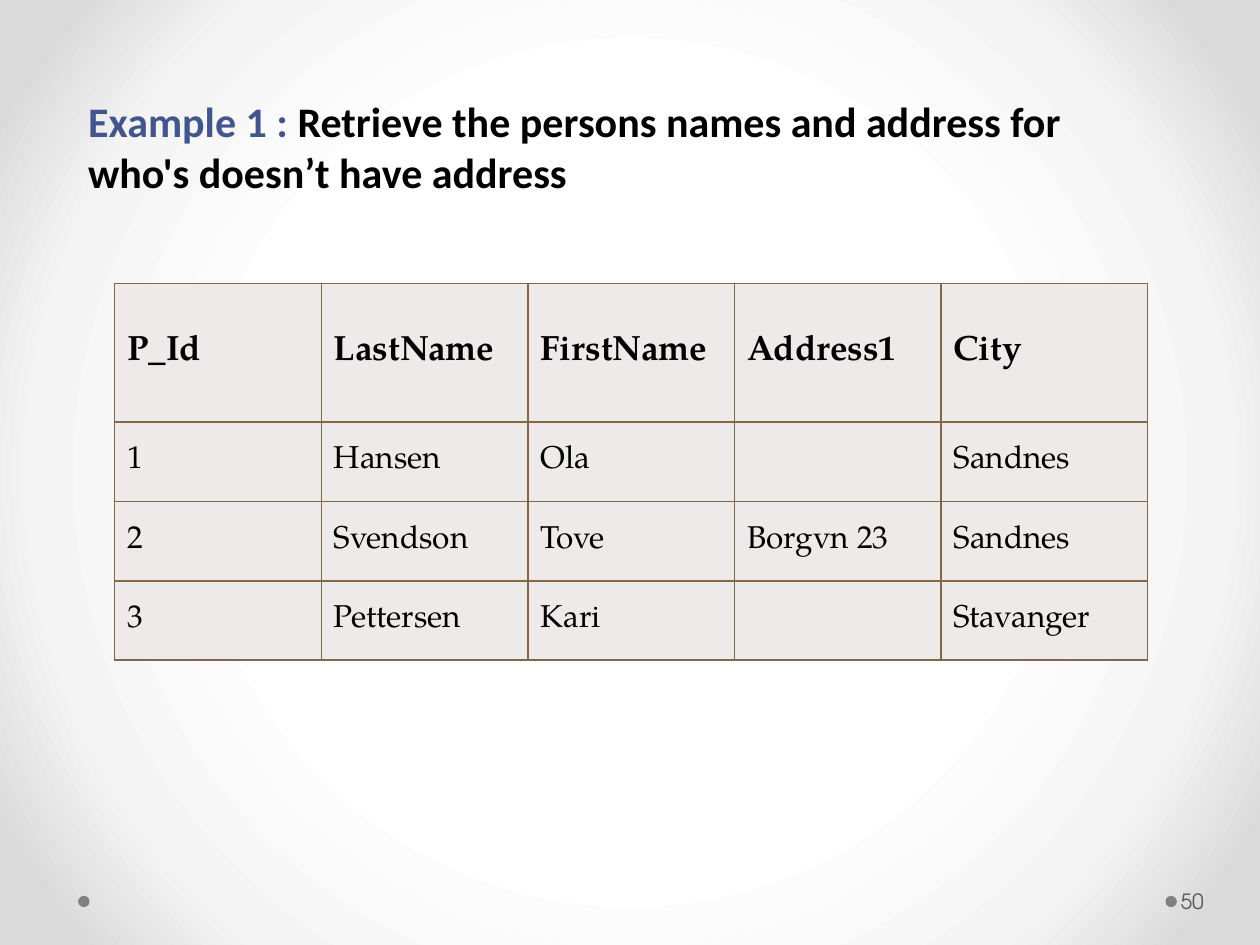
from pptx import Presentation
from pptx.dml.color import RGBColor
from pptx.enum.shapes import MSO_SHAPE
from pptx.enum.text import MSO_ANCHOR, MSO_AUTO_SIZE, PP_ALIGN
from pptx.oxml import parse_xml
from pptx.oxml.ns import nsdecls, qn
from pptx.util import Inches, Pt

BLACK = RGBColor(0x00, 0x00, 0x00)
BLUE = RGBColor(0x42, 0x56, 0x8D)
BROWN = RGBColor(0x84, 0x66, 0x48)
CELL_GREY = RGBColor(0xED, 0xEA, 0xE9)
DOT_GREY = RGBColor(0x80, 0x80, 0x80)
NUMBER_GREY = RGBColor(0x59, 0x59, 0x59)
BACKGROUND_STOPS = [(50, "FFFFFF"), (76, "F4F4F4"), (92, "DADADA")]

PERSONS = [
    ["P_Id", "LastName", "FirstName", "Address1", "City"],
    ["1", "Hansen", "Ola", "", "Sandnes"],
    ["2", "Svendson", "Tove", "Borgvn 23", "Sandnes"],
    ["3", "Pettersen", "Kari", "", "Stavanger"],
]


class SlideBuilder:
    title_font = "Calibri"
    table_font = "TeX Gyre Pagella"
    number_font = "TeX Gyre Adventor"

    def __init__(self, prs):
        self.s = prs.slides.add_slide(prs.slide_layouts[5])

    def set_font(self, font, name, size, color, bold=False):
        font.name, font.size, font.bold = name, Pt(size), bold
        font.color.rgb = color

    def background(self, stops):
        """Fill the background with a gradient spreading from the centre."""
        self.s.background.fill.gradient()
        grad = self.s.element.find(".//" + qn("a:gradFill"))
        gs = "".join(
            f'<a:gs pos="{pos * 1000}"><a:srgbClr val="{color}"/></a:gs>'
            for pos, color in stops
        )
        radial = parse_xml(
            f'<a:gradFill {nsdecls("a")} rotWithShape="1"><a:gsLst>{gs}</a:gsLst>'
            '<a:path path="circle"><a:fillToRect l="50000" t="50000" '
            'r="50000" b="50000"/></a:path></a:gradFill>'
        )
        grad.getparent().replace(grad, radial)

    def dot(self, x, y, size=0.09):
        sp = self.s.shapes.add_shape(
            MSO_SHAPE.OVAL, Inches(x), Inches(y), Inches(size), Inches(size)
        )
        sp.shadow.inherit = False
        sp.fill.solid()
        sp.fill.fore_color.rgb = DOT_GREY
        sp.line.fill.background()

    def title(self, x, y, w, h, parts):
        sp = self.s.shapes.title
        sp.left, sp.top, sp.width, sp.height = map(Inches, (x, y, w, h))
        tf = sp.text_frame
        tf.word_wrap = True
        tf.auto_size = MSO_AUTO_SIZE.NONE
        tf.vertical_anchor = MSO_ANCHOR.TOP
        p = tf.paragraphs[0]
        p.alignment = PP_ALIGN.LEFT
        for text, color in parts:
            r = p.add_run()
            r.text = text
            self.set_font(r.font, self.title_font, 24, color, bold=True)

    def borders(self, cell):
        tc_pr = cell._tc.get_or_add_tcPr()
        for side in "LRTB":
            tc_pr.append(parse_xml(
                f'<a:ln{side} {nsdecls("a")} w="{Pt(1)}"><a:solidFill>'
                f'<a:srgbClr val="{BROWN}"/></a:solidFill></a:ln{side}>'
            ))

    def table(self, x, y, col_width, header_height, row_height, rows):
        n_rows, n_cols = len(rows), len(rows[0])
        table = self.s.shapes.add_table(
            n_rows, n_cols, Inches(x), Inches(y), Inches(col_width * n_cols),
            Inches(header_height + row_height * (n_rows - 1)),
        ).table
        for col in table.columns:
            col.width = Inches(col_width)
        for i, values in enumerate(rows):
            header = i == 0
            table.rows[i].height = Inches(header_height if header else row_height)
            for j, value in enumerate(values):
                cell = table.cell(i, j)
                self.borders(cell)
                cell.fill.solid()
                cell.fill.fore_color.rgb = CELL_GREY
                cell.vertical_anchor = MSO_ANCHOR.MIDDLE
                cell.text = value
                self.set_font(cell.text_frame.paragraphs[0].font, self.table_font,
                              20 if header else 18, BLACK, bold=header)

    def page_number(self, x, y, w, h, text):
        sp = self.s.shapes.add_textbox(Inches(x), Inches(y), Inches(w), Inches(h))
        tf = sp.text_frame
        tf.word_wrap = True
        tf.vertical_anchor = MSO_ANCHOR.MIDDLE
        tf.margin_left, tf.margin_right = Inches(0.03), Inches(0.05)
        p = tf.paragraphs[0]
        p.text = text
        self.set_font(p.font, self.number_font, 12, NUMBER_GREY)


def main():
    prs = Presentation()
    prs.slide_width, prs.slide_height = Inches(10), Inches(7.5)
    slide = SlideBuilder(prs)
    slide.background(BACKGROUND_STOPS)
    for x in (9.25, 0.62):
        slide.dot(x, 7.11)
    slide.table(0.91, 2.25, 1.64, 1.1, 0.63, PERSONS)
    slide.title(0.6, 0.71, 8.65, 0.91, [
        ("Example 1 : ", BLUE),
        ("Retrieve the persons names and address for who's doesn’t have address", BLACK),
    ])
    slide.page_number(9.34, 6.95, 0.61, 0.4, "50")
    prs.save("out.pptx")


if __name__ == "__main__":
    main()
